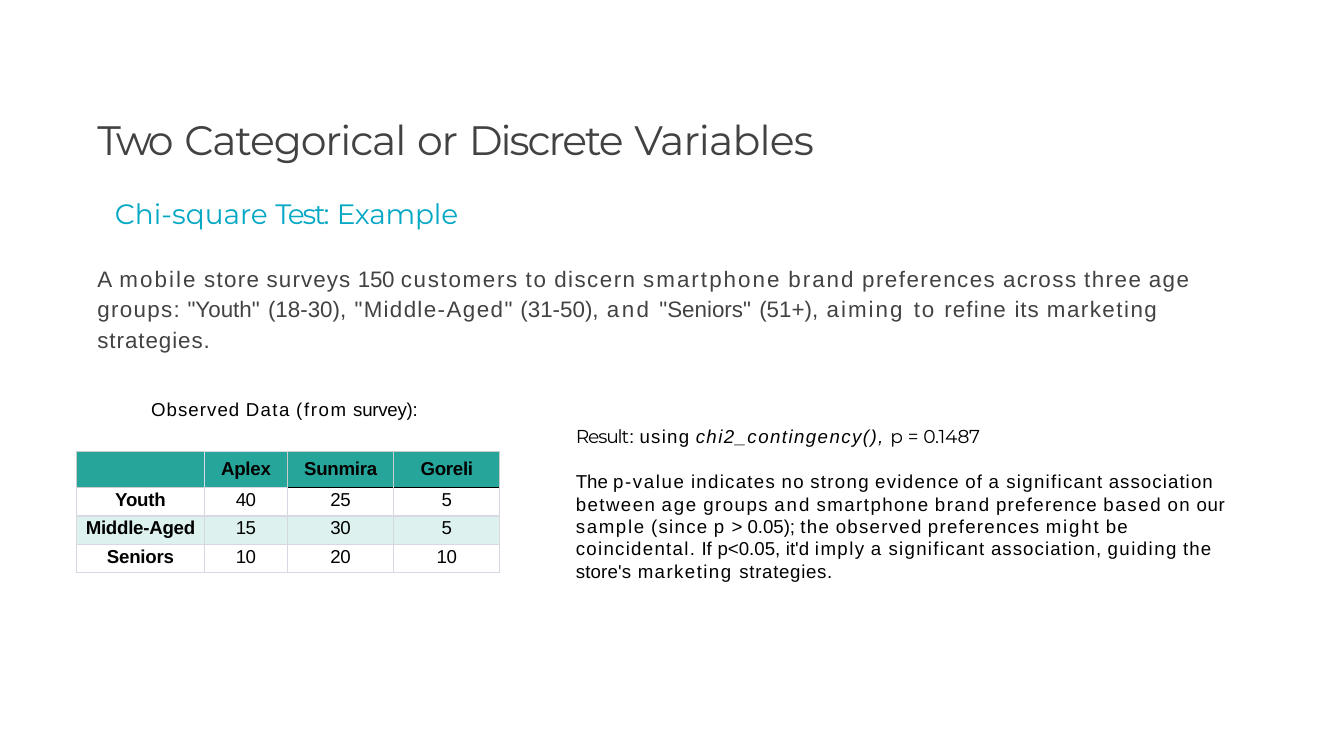
from dataclasses import dataclass
from itertools import groupby

from lxml import etree
from pptx import Presentation
from pptx.dml.color import RGBColor
from pptx.enum.text import MSO_ANCHOR, MSO_AUTO_SIZE, PP_ALIGN
from pptx.oxml.ns import qn
from pptx.util import Emu, Pt

EMU_PER_PX = 4572
LEFT, CENTER = PP_ALIGN.LEFT, PP_ALIGN.CENTER
TOP = MSO_ANCHOR.TOP
NO_AUTOFIT = MSO_AUTO_SIZE.NONE
TITLE_ONLY = 5

SANS, DISPLAY = "Arial", "Montserrat"
BLACK, GRAY, CYAN = "000000", "424242", "04A8C4"
TEAL, PALE_TEAL, WHITE = "26A59A", "DDF2EF", "FFFFFF"
HEADER_LINE, BODY_LINE = "CCCCCC", "D8D8E2"


@dataclass(frozen=True)
class Piece:
    text: str
    spacing: float
    font: str = SANS
    italic: bool = False
    gap: float = 0


@dataclass(frozen=True)
class Block:
    pieces: list[Piece]
    size: int
    color: str
    indent: int = 0
    before: float = 0
    line_spacing: float = 1
    align: PP_ALIGN = LEFT
    bold: bool = False


TITLE = Block(
    [Piece("Two ", -1.9, DISPLAY), Piece("Categorical or ", -0.6, DISPLAY),
     Piece("Discrete ", -1.1, DISPLAY), Piece("Variables", -0.4, DISPLAY)],
    22, GRAY, 2, 1)

SUBTITLE = Block(
    [Piece("Chi-square ", 0, DISPLAY), Piece("Test: ", -1.1, DISPLAY), Piece("Example", -0.1, DISPLAY)],
    15, CYAN, 28, 1)

SURVEY = Block(
    [Piece("A ", 0, gap=0.5), Piece("mobile ", 1.1), Piece("store ", 0.7), Piece("surveys ", 0.6),
     Piece("150 ", -0.2), Piece("customers ", 0.9), Piece("to ", 1), Piece("discern ", 0.8),
     Piece("smartphone brand ", 1.1), Piece("preferences across three age ", 0.8),
     Piece("groups: ", 0.7), Piece('"Youth" (18-30), ', 0, gap=1), Piece('"Middle-', 0.7),
     Piece('Aged" ', 0.8), Piece("(31-50), ", 0, gap=1), Piece("and ", 1.3, gap=0.8),
     Piece('"Seniors" (51+), ', 0, gap=1), Piece("aiming ", 1.1, gap=1.5), Piece("to ", 1, gap=1),
     Piece("refine ", 0.6, gap=0.6), Piece("its ", 0.5, gap=0.5),
     Piece("marketing ", 0.8), Piece("strategies.", 0.5)],
    12, GRAY, 2, 16.8, 1.14)

TABLE_CAPTION = Block(
    [Piece("Observed ", 0.6), Piece("Data ", 0.8), Piece("(from ", 0.9), Piece("survey):", -0.1)],
    10, BLACK, 82, 24.2)

RESULT = Block(
    [Piece("Result", -0.6, DISPLAY), Piece(": ", -0.6), Piece("using ", 0.7),
     Piece("chi2_contingency(), ", 0.8, SANS, True), Piece("p = ", 0, DISPLAY),
     Piece("0.1487", -0.1, DISPLAY)],
    10, BLACK, 714, 2.4)

CONCLUSION = Block(
    [Piece("The ", 0), Piece("p-value ", 0.9), Piece("indicates ", 0.7), Piece("no ", 0.8),
     Piece("strong evidence of ", 0.7), Piece("a ", 1.2), Piece("significant ", 0.7),
     Piece("association ", 0.6), Piece("between ", 0.8), Piece("age ", 1), Piece("groups ", 0.8),
     Piece("and ", 1.1), Piece("smartphone ", 0.8), Piece("brand ", 0.9), Piece("preference ", 0.7),
     Piece("based ", 0.9), Piece("on ", 0.8), Piece("our ", 0.4), Piece("sample ", 0.9),
     Piece("(since ", 0.7), Piece("p ", 1.2), Piece("> 0.05); ", 0), Piece("the ", 0.8),
     Piece("observed preferences ", 0.7), Piece("might ", 1), Piece("be coincidental. ", 0.7),
     Piece("If p<0.05, it'd ", 0, gap=0.3), Piece("imply ", 0.8), Piece("a ", 1.2),
     Piece("significant ", 0.7), Piece("association, ", 0.6), Piece("guiding ", 0.8),
     Piece("the ", 0.6), Piece("store's ", 0.1, gap=0.6), Piece("marketing ", 0.8, gap=0.8),
     Piece("strategies.", 0.4)],
    10, BLACK, 714, 12)

OBSERVED = [
    ["", "Aplex", "Sunmira", "Goreli"],
    ["Youth", "40", "25", "5"],
    ["Middle-Aged", "15", "30", "5"],
    ["Seniors", "10", "20", "10"],
]
COLUMN_WIDTHS = [190, 124, 158, 158]
ROW_HEIGHTS = [54, 42, 42, 42]
ROW_FILLS = [TEAL, WHITE, PALE_TEAL, WHITE]
HEADER_BOTTOMS = [HEADER_LINE, BODY_LINE, BLACK, BLACK]


def px(value: int) -> Emu:
    return Emu(value * EMU_PER_PX)


def rgb(value: str) -> RGBColor:
    return RGBColor.from_string(value)


def write_block(paragraph, block: Block) -> None:
    paragraph.alignment = block.align
    paragraph.space_before = Pt(block.before)
    paragraph.line_spacing = block.line_spacing
    properties = paragraph._p.get_or_add_pPr()
    properties.set("marL", str(px(block.indent)))
    properties.set("indent", "0")
    for piece in block.pieces:
        for is_space, letters in groupby(piece.text, str.isspace):
            run = paragraph.add_run()
            run.text = "".join(letters)
            run.font.name = piece.font
            run.font.size = Pt(block.size)
            run.font.bold = block.bold
            run.font.italic = piece.italic
            run.font.color.rgb = rgb(block.color)
            spacing = piece.gap if is_space else piece.spacing
            run._r.get_or_add_rPr().set("spc", str(round(spacing * 100)))


def write_blocks(shape, blocks: list[Block]) -> None:
    frame = shape.text_frame
    frame.word_wrap = True
    frame.auto_size = NO_AUTOFIT
    frame.vertical_anchor = TOP
    frame.margin_left = frame.margin_right = frame.margin_bottom = 0
    frame.margin_top = px(2)
    for index, block in enumerate(blocks):
        paragraph = frame.add_paragraph() if index else frame.paragraphs[0]
        write_block(paragraph, block)


def add_borders(cell, colors: dict[str, str]) -> None:
    properties = cell._tc.get_or_add_tcPr()
    for side, color in colors.items():
        line = etree.SubElement(properties, qn(f"a:ln{side}"), w=str(Pt(0.75)))
        fill = etree.SubElement(line, qn("a:solidFill"))
        etree.SubElement(fill, qn("a:srgbClr"), val=color)


def fill_cell(cell, row: int, column: int) -> None:
    side_color = BODY_LINE if row or column == 1 else HEADER_LINE
    top_color = HEADER_BOTTOMS[column] if row == 1 else side_color
    bottom_color = BODY_LINE if row else HEADER_BOTTOMS[column]
    add_borders(cell, {"L": side_color, "R": side_color, "T": top_color, "B": bottom_color})
    cell.fill.solid()
    cell.fill.fore_color.rgb = rgb(ROW_FILLS[row])
    cell.margin_left = cell.margin_right = cell.margin_bottom = 0
    cell.margin_top = px(3 if row else 10)
    cell.vertical_anchor = TOP
    paragraph = cell.text_frame.paragraphs[0]
    text = OBSERVED[row][column]
    if text:
        bold = row == 0 or column == 0
        spacing = -0.1 if bold else -0.2
        write_block(paragraph, Block([Piece(text, spacing)], 10, BLACK,
                                     before=1.1 if row else 3.5, align=CENTER, bold=bold))
    else:
        paragraph._p.get_or_add_endParaRPr().set("sz", "1000")


def add_observed_table(slide, left: int, top: int) -> None:
    shape = slide.shapes.add_table(len(ROW_HEIGHTS), len(COLUMN_WIDTHS), px(left), px(top),
                                   px(sum(COLUMN_WIDTHS)), px(sum(ROW_HEIGHTS)))
    table = shape.table
    table.first_row = table.horz_banding = False
    for column, width in zip(table.columns, COLUMN_WIDTHS):
        column.width = px(width)
    for row, height in enumerate(ROW_HEIGHTS):
        table.rows[row].height = px(height)
        for column in range(len(COLUMN_WIDTHS)):
            fill_cell(table.cell(row, column), row, column)


def main() -> None:
    presentation = Presentation()
    presentation.slide_width, presentation.slide_height = px(2000), px(1125)
    slide = presentation.slides.add_slide(presentation.slide_layouts[TITLE_ONLY])
    title = slide.shapes.title
    title.left, title.top, title.width, title.height = px(143), px(168), px(1510), px(86)
    write_blocks(title, [TITLE])
    add_observed_table(slide, 114, 672)
    body = slide.shapes.add_textbox(px(143), px(290), px(1694), px(578))
    write_blocks(body, [SUBTITLE, SURVEY, TABLE_CAPTION, RESULT, CONCLUSION])
    presentation.save("out.pptx")


if __name__ == "__main__":
    main()
